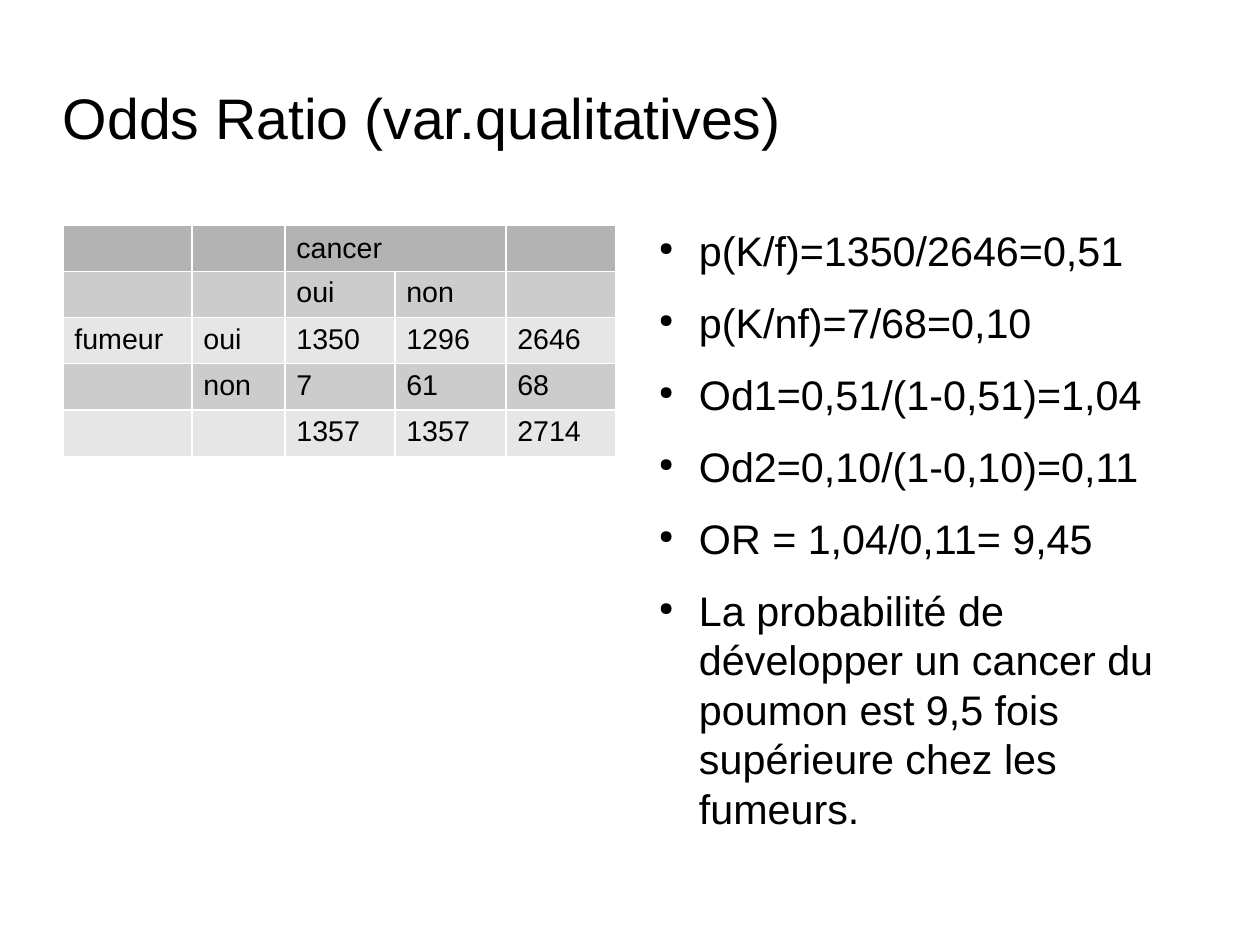
from lxml import etree
from pptx import Presentation
from pptx import util as u
from pptx.dml.color import RGBColor
from pptx.enum import text
from pptx.oxml.ns import qn

TITLE = "Odds Ratio (var.qualitatives)"
ROWS = [
    ("", "", "cancer", "", ""),
    ("", "", "oui", "non", ""),
    ("fumeur", "oui", "1350", "1296", "2646"),
    ("", "non", "7", "61", "68"),
    ("", "", "1357", "1357", "2714"),
]
POINTS = [
    "p(K/f)=1350/2646=0,51",
    "p(K/nf)=7/68=0,10",
    "Od1=0,51/(1-0,51)=1,04",
    "Od2=0,10/(1-0,10)=0,11",
    "OR = 1,04/0,11= 9,45",
    "La probabilité de développer un cancer du poumon est 9,5 fois "
    "supérieure chez les fumeurs.",
]

FONT = "Arial"
BLACK = RGBColor(0x00, 0x00, 0x00)
HEADER = RGBColor(0xB3, 0xB3, 0xB3)
BANDS = [RGBColor(0xE6, 0xE6, 0xE6), RGBColor(0xCC, 0xCC, 0xCC)]

COLS = [129, 93, 110, 111, 110]
ROW_H = 46
LEFT, TOP = 63, 225
POINTS_LEFT, POINTS_W, POINTS_H = 645, 553, 549
INDENT, HANG = 54, 40


def px(n):
    return u.Emu(n * 8000)


def add_run(p, words, size):
    r = p.add_run()
    r.text = words
    r.font.name = FONT
    r.font.size = u.Pt(size)
    r.font.color.rgb = BLACK


def frame(tf):
    tf.word_wrap = True
    tf.margin_left = tf.margin_right = tf.margin_top = tf.margin_bottom = 0


def add_bullet(p):
    pPr = p._p.get_or_add_pPr()
    pPr.set("marL", str(px(INDENT)))
    pPr.set("indent", str(-px(HANG)))
    clr = etree.SubElement(pPr, qn("a:buClr"))
    etree.SubElement(clr, qn("a:srgbClr"), val=str(BLACK))
    etree.SubElement(pPr, qn("a:buSzPct"), val="45000")
    etree.SubElement(pPr, qn("a:buChar"), char="●")


prs = Presentation()
prs.slide_width, prs.slide_height = px(1260), px(945)
s = prs.slides.add_slide(prs.slide_layouts[5])

title = s.shapes.title
title.left, title.top, title.width, title.height = px(LEFT), px(72), px(900), px(90)
tf = title.text_frame
frame(tf)
tf.vertical_anchor = text.MSO_ANCHOR.MIDDLE
p = tf.paragraphs[0]
p.alignment = text.PP_ALIGN.LEFT
add_run(p, TITLE, 36)

table = s.shapes.add_table(len(ROWS), len(COLS), px(LEFT), px(TOP),
                           px(sum(COLS)), px(ROW_H * len(ROWS))).table
for col, w in zip(table.columns, COLS):
    col.width = px(w)
for i, row in enumerate(ROWS):
    table.rows[i].height = px(ROW_H)
    for j, words in enumerate(row):
        cell = table.cell(i, j)
        cell.fill.solid()
        cell.fill.fore_color.rgb = BANDS[i % 2] if i else HEADER
        if words:
            add_run(cell.text_frame.paragraphs[0], words, 18)
            cell.text_frame.paragraphs[0].runs[0].font.bold = False
table.cell(0, 2).merge(table.cell(0, 3))
table.cell(0, 2).vertical_anchor = text.MSO_ANCHOR.MIDDLE

tf = s.shapes.add_textbox(px(POINTS_LEFT), px(TOP), px(POINTS_W), px(POINTS_H)).text_frame
frame(tf)
for i, words in enumerate(POINTS):
    p = tf.paragraphs[0] if i == 0 else tf.add_paragraph()
    p.space_after = u.Pt(14.2)
    add_bullet(p)
    add_run(p, words, 26)

prs.save("out.pptx")
